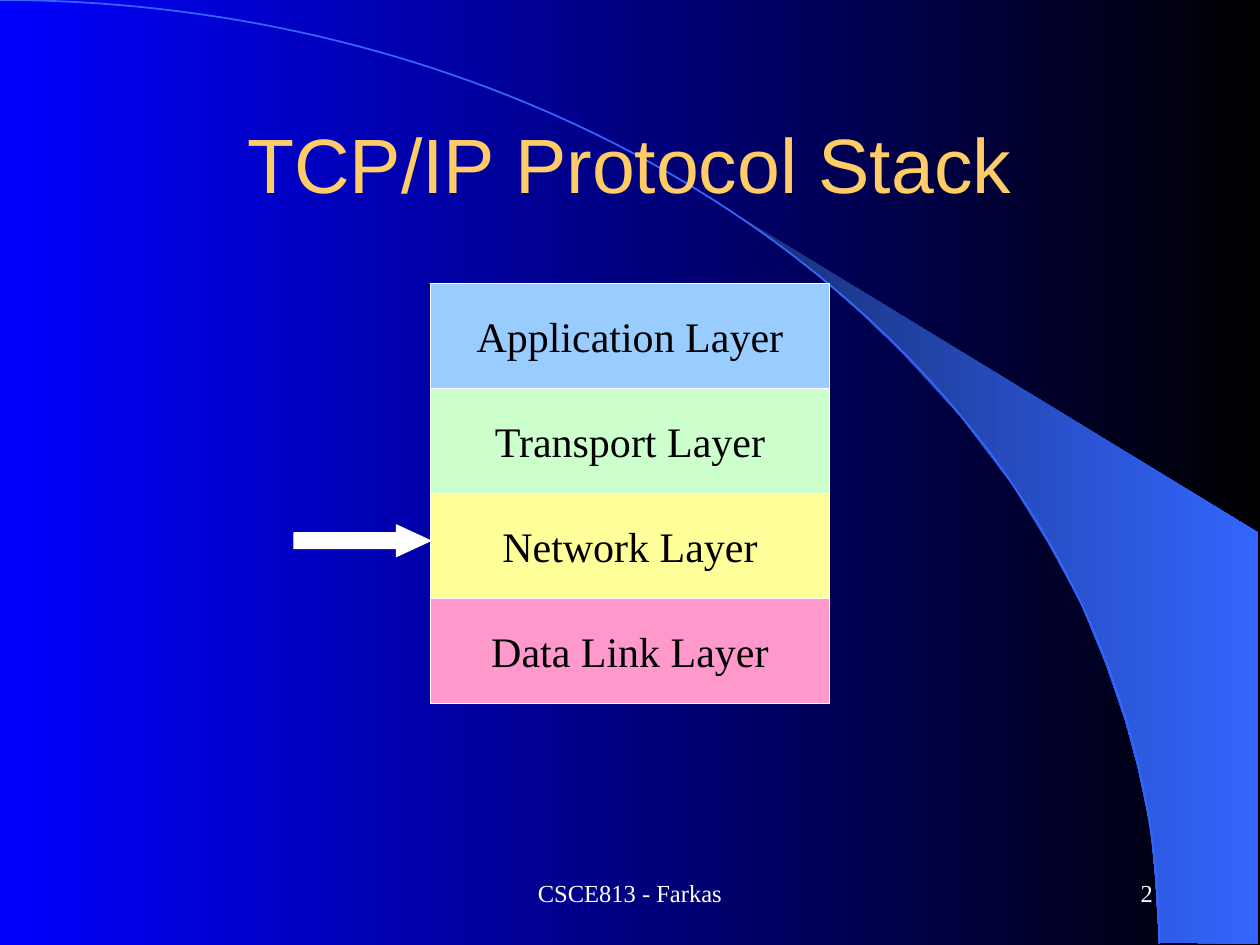
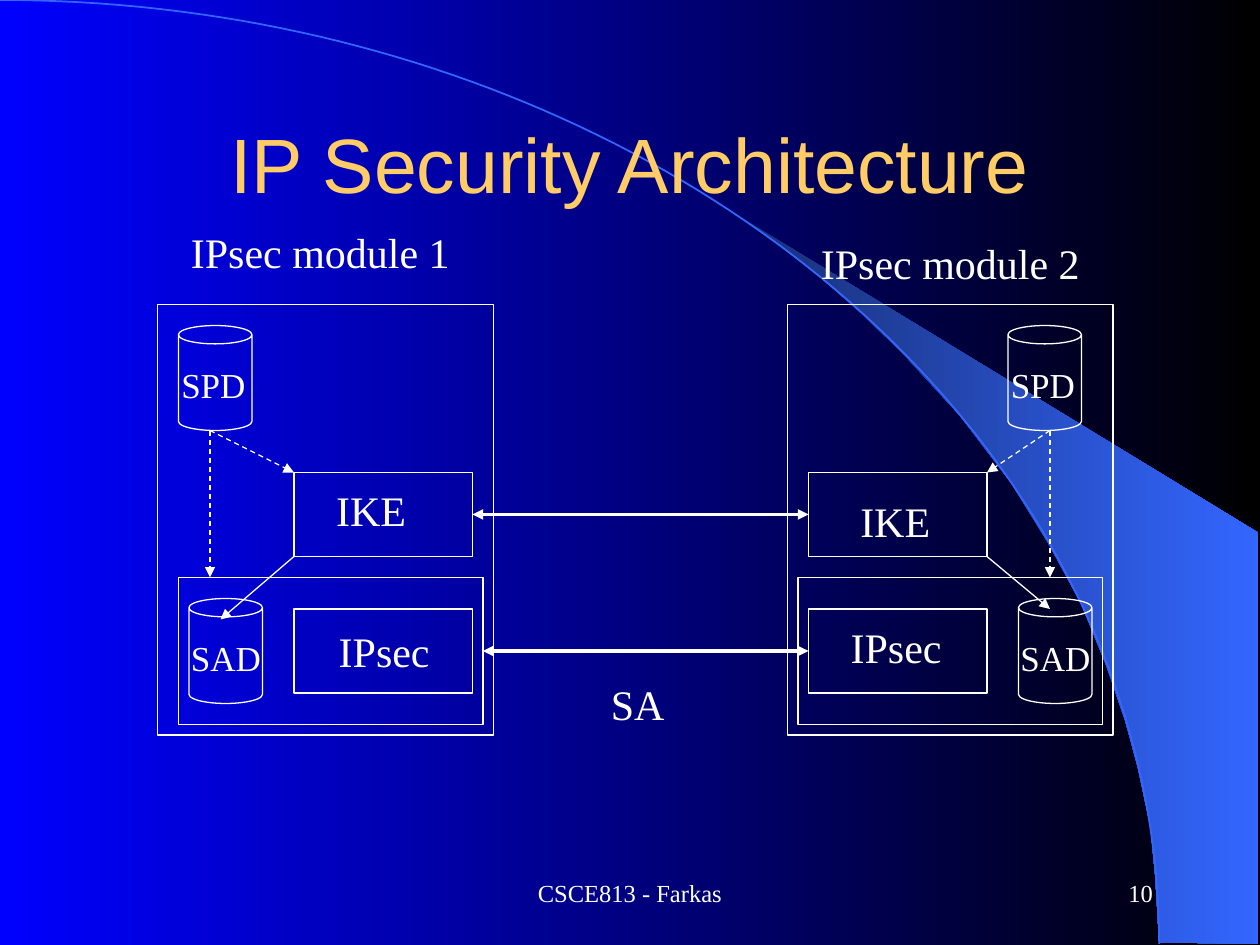
import math

from lxml import etree
from pptx import Presentation
from pptx.dml import color
from pptx.enum import dml, shapes, text
from pptx.oxml import ns
from pptx.util import Pt

WHITE, BLACK, GOLD, SKY = "FFFFFF", "000000", "FFCC66", "3366FF"
SERIF, SANS = "Times New Roman", "Arial"
LEFT, CENTER, RIGHT = text.PP_ALIGN.LEFT, text.PP_ALIGN.CENTER, text.PP_ALIGN.RIGHT
TOP, MIDDLE = text.MSO_ANCHOR.TOP, text.MSO_ANCHOR.MIDDLE
rgb = color.RGBColor.from_string


def write(box, words, size, ink=WHITE, face=SERIF, align=LEFT, anchor=TOP, wrap=False):
    frame = box.text_frame
    frame.auto_size = text.MSO_AUTO_SIZE.NONE
    frame.word_wrap = wrap
    frame.vertical_anchor = anchor
    para = frame.paragraphs[0]
    para.alignment = align
    span = para.add_run()
    span.text = words
    span.font.size = Pt(size)
    span.font.name = face
    span.font.color.rgb = rgb(ink)


def draw(page, kind, left, top, width, height, fill=None):
    shape = page.shapes.add_shape(kind, Pt(left), Pt(top), Pt(width), Pt(height))
    shape.shadow.inherit = False
    if fill:
        shape.fill.solid()
        shape.fill.fore_color.rgb = rgb(fill)
    else:
        shape.fill.background()
    shape.line.color.rgb = rgb(WHITE)
    shape.line.width = Pt(0.75)
    return shape


deck = Presentation()
deck.slide_width, deck.slide_height = Pt(720), Pt(540)

# Shared background on the master
backdrop = deck.slide_master.background.fill
backdrop.gradient()
backdrop.gradient_angle = 0
for stop, shade in zip(backdrop.gradient_stops, ["0000FF", BLACK]):
    stop.color.rgb = rgb(shade)

# Shared decoration: a light wedge and a quarter ellipse
wedge_points = [
    (662.4, 538.6), (719.3, 539.3), (719.3, 304.6), (424.1, 124.6), (449.3, 143.3),
    (470.2, 159.8), (493.2, 180), (515.5, 201.6), (548.6, 237.6), (578.2, 276.5),
    (599, 310.3), (617.8, 344.9), (632.2, 380.2), (643, 411.8), (650.2, 438.5),
    (657.4, 472.3), (660.2, 501.1),
]
STEPS = 90
angles = [math.pi / 2 * step / STEPS for step in range(STEPS + 1)]
arc_points = [(662.4 * math.sin(a), 539.3 * (1 - math.cos(a))) for a in angles]

pages = []
for heading, number in [("TCP/IP Protocol Stack", "2"), ("IP Security Architecture", "10")]:
    page = deck.slides.add_slide(deck.slide_layouts[5])
    pages.append(page)

    outlines = []
    for points, closed in [(wedge_points, True), (arc_points, False)]:
        corners = [(Pt(x), Pt(y)) for x, y in points]
        builder = page.shapes.build_freeform(*corners[0])
        builder.add_line_segments(corners[1:], close=closed)
        outline = builder.convert_to_shape()
        outline.shadow.inherit = False
        outlines.append(outline)
    wedge, arc = outlines
    wedge.line.fill.background()
    wedge.fill.gradient()
    wedge.fill.gradient_angle = 0
    for stop, shade in zip(wedge.fill.gradient_stops, ["182F76", SKY]):
        stop.color.rgb = rgb(shade)
    arc.fill.background()
    arc.line.color.rgb = rgb(SKY)
    arc.line.width = Pt(1)

    # Footer and page number
    for words, left, width, align in [("CSCE813 - Farkas", 246, 228, CENTER),
                                      (number, 516, 150, RIGHT)]:
        box = page.shapes.add_textbox(Pt(left), Pt(492), Pt(width), Pt(36))
        write(box, words, 14, align=align, anchor=MIDDLE, wrap=True)

    # Title, brought in front of the decoration
    title = page.shapes.title
    title.left, title.top, title.width, title.height = Pt(54), Pt(48), Pt(612), Pt(90)
    write(title, heading, 44, GOLD, SANS, CENTER, MIDDLE, True)
    title.element.getparent().append(title.element)

stack_page, security_page = pages
RECT, CAN = shapes.MSO_SHAPE.RECTANGLE, shapes.MSO_SHAPE.CAN

# Slide 1: protocol layers and the arrow to the network layer
layers = [("Application", "99CCFF"), ("Transport", "CCFFCC"),
          ("Network", "FFFF99"), ("Data Link", "FF99CC")]
for row, (name, fill) in enumerate(layers):
    layer = draw(stack_page, RECT, 246, 162 + 60 * row, 228, 60, fill)
    write(layer, f"{name} Layer", 24, BLACK, align=CENTER, anchor=MIDDLE)
pointer = draw(stack_page, shapes.MSO_SHAPE.RIGHT_ARROW, 168, 300, 78, 18, WHITE)
pointer.adjustments[0], pointer.adjustments[1] = 0.5, 1.08

# Slide 2: frames, boxes and databases of both modules
ike_boxes, ipsec_boxes, engines = [], [], []
for frame_left, frame_width, box_left, engine_left, sad_left, spd_left in [
        (90, 192, 168, 102, 108, 102), (450, 186, 462, 456, 582, 576)]:
    draw(security_page, RECT, frame_left, 174, frame_width, 246)
    ike_boxes.append(draw(security_page, RECT, box_left, 270, 102, 48))
    ipsec_boxes.append(draw(security_page, RECT, box_left, 348, 102, 48))
    engines.append(draw(security_page, RECT, engine_left, 330, 174, 84))
    for left, top in [(sad_left, 342), (spd_left, 186)]:
        draw(security_page, CAN, left, top, 42, 60).adjustments[0] = 0.25

# Labels
for words, size, left, top, width, height in [
        ("IPsec module 1", 24, 102, 126, 162, 36), ("IPsec module 2", 24, 462, 132, 162, 36),
        ("SPD", 20, 96.5, 204, 51, 31.5), ("SPD", 20, 570.5, 204, 51, 31.5),
        ("SAD", 20, 102, 360, 54, 31.5), ("SAD", 20, 576, 360, 54, 31.5),
        ("IKE", 24, 185, 273.5, 54, 36), ("IKE", 24, 484.5, 279.5, 54, 36),
        ("IPsec", 24, 186.5, 354, 66, 36), ("IPsec", 24, 479, 351.5, 66, 36),
        ("SA", 24, 342, 384, 45, 36)]:
    box = security_page.shapes.add_textbox(Pt(left), Pt(top), Pt(width), Pt(height))
    write(box, words, size)

# Links: start, end, width, dashed, arrowheads, boxes joined at their sides
links = [
    ((276, 372), (462, 372), 2, False, ["headEnd", "tailEnd"], (engines[0], ipsec_boxes[1])),
    ((270, 294), (462, 294), 2, False, ["headEnd", "tailEnd"], ike_boxes),
]
for spd_x, corner_x, sad_end in [(120, 168, (126, 354)), (600, 564, (600, 348))]:
    links += [
        ((corner_x, 318), sad_end, 0.75, False, ["tailEnd"], None),
        ((spd_x, 246), (spd_x, 330), 0.75, True, ["tailEnd"], None),
        ((spd_x, 246), (corner_x, 270), 0.75, True, ["tailEnd"], None),
    ]
for start, end, width, dashed, heads, joined in links:
    link = security_page.shapes.add_connector(
        shapes.MSO_CONNECTOR.STRAIGHT, *[Pt(v) for v in start + end])
    if joined:
        link.begin_connect(joined[0], 3)
        link.end_connect(joined[1], 1)
    link.line.color.rgb = rgb(WHITE)
    link.line.width = Pt(width)
    if dashed:
        link.line.dash_style = dml.MSO_LINE.DASH
    properties = link.element.spPr
    for head in heads:
        etree.SubElement(properties.find(ns.qn("a:ln")), ns.qn(f"a:{head}"), type="triangle")
    etree.SubElement(properties, ns.qn("a:effectLst"))

deck.save("out.pptx")
